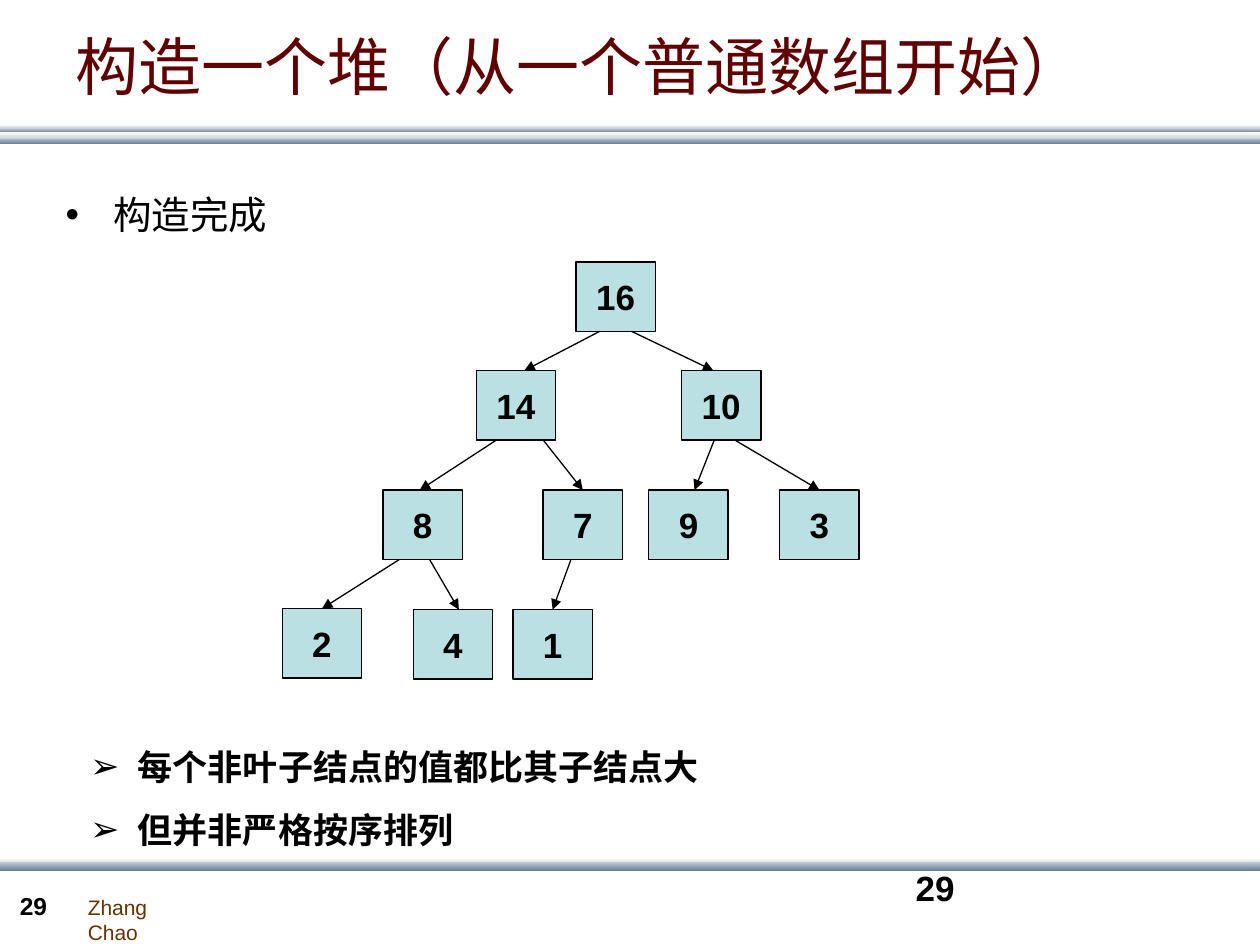
from lxml import etree
from pptx import Presentation, util as u
from pptx.dml.color import RGBColor
from pptx.enum import shapes, text
from pptx.oxml import ns

BLACK = RGBColor(0x00, 0x00, 0x00)
WHITE = RGBColor(0xFF, 0xFF, 0xFF)
MAROON = RGBColor(0x60, 0x00, 0x00)
BROWN = RGBColor(0x66, 0x33, 0x00)
NODE_BLUE = RGBColor(0xBB, 0xE0, 0xE3)
MIST = RGBColor(0xC8, 0xD1, 0xDA)
STEEL = RGBColor(0x6A, 0x83, 0x9C)

LATIN = "Arial"
CHINESE = "Noto Sans CJK SC"

SLIDE_W, SLIDE_H = 25.4, 19.05
NODE_W, NODE_H = 1.6, 1.4

# top, height, upper colour, lower colour
BANDS = [
    (2.77, 0.13, MIST, STEEL),
    (2.59, 0.08, MIST, STEEL),
    (2.67, 0.13, WHITE, MIST),
    (2.51, 0.08, WHITE, MIST),
    (17.3, 0.13, WHITE, MIST),
    (17.37, 0.18, MIST, STEEL),
]

# value: (left, top)
HEAP = {
    16: (11.61, 5.28),
    14: (9.6, 7.47), 10: (13.74, 7.47),
    8: (7.72, 9.88), 7: (10.95, 9.88), 9: (13.08, 9.88), 3: (15.72, 9.88),
    2: (5.69, 12.27), 4: (8.33, 12.29), 1: (10.34, 12.29),
}

# parent, child, x at the parent, x at the child (None: middle of its top)
LINKS = [
    (16, 14, 12.09, 10.57), (16, 10, 12.73, 14.38),
    (14, 8, 10.01, 8.46), (14, 7, 10.95, None),
    (10, 9, 14.4, 14.0), (10, 3, 14.81, None),
    (8, 2, 8.05, None), (8, 4, 8.66, 9.25),
    (7, 1, 11.51, None),
]


def write(paragraph, content, size, font=LATIN, color=BLACK, bold=False,
          align=text.PP_ALIGN.LEFT, spacing=None, bullet=None):
    paragraph.alignment = align
    paragraph.space_before = u.Pt(0)
    if spacing:
        paragraph.line_spacing = spacing
    if bullet:
        props = paragraph._p.get_or_add_pPr()
        indent = u.Cm(0.96)
        props.set("marL", str(indent))
        props.set("indent", str(-indent))
        etree.SubElement(props, ns.qn("a:buFont"), typeface=LATIN)
        etree.SubElement(props, ns.qn("a:buChar"), char=bullet)
    run = paragraph.add_run()
    run.text = content
    run.font.size = u.Pt(size)
    run.font.bold = bold
    run.font.color.rgb = color
    run.font.name = font
    etree.SubElement(run._r.get_or_add_rPr(), ns.qn("a:ea"), typeface=font)


class HeapSlide:
    line_color = BLACK
    line_width = u.Pt(0.75)

    def __init__(self, deck):
        self.slide = deck.slides.add_slide(deck.slide_layouts[1])
        self.shapes = self.slide.shapes

    def rectangle(self, left, top, width, height):
        box = self.shapes.add_shape(
            shapes.MSO_SHAPE.RECTANGLE, *map(u.Cm, (left, top, width, height)))
        box.shadow.inherit = False
        return box

    def band(self, top, height, upper, lower):
        strip = self.rectangle(0, top, SLIDE_W, height)
        strip.line.fill.background()
        strip.fill.gradient()
        strip.fill.gradient_angle = 270
        for stop, color in zip(strip.fill.gradient_stops, (upper, lower)):
            stop.color.rgb = color
        strip.fill.gradient_stops[0].position = 0
        strip.fill.gradient_stops[1].position = 1

    def placeholder(self, index, left, top, width, height, anchor, content, **style):
        holder = self.slide.placeholders[index]
        holder.left, holder.top = u.Cm(left), u.Cm(top)
        holder.width, holder.height = u.Cm(width), u.Cm(height)
        frame = holder.text_frame
        frame.auto_size = text.MSO_AUTO_SIZE.NONE
        frame.vertical_anchor = anchor
        write(frame.paragraphs[0], content, **style)

    def text_box(self, left, top, width, height, lines, **style):
        frame = self.shapes.add_textbox(
            *map(u.Cm, (left, top, width, height))).text_frame
        frame.word_wrap = True
        for number, content in enumerate(lines):
            paragraph = frame.add_paragraph() if number else frame.paragraphs[0]
            write(paragraph, content, **style)

    def node(self, value, left, top):
        box = self.rectangle(left, top, NODE_W, NODE_H)
        box.fill.solid()
        box.fill.fore_color.rgb = NODE_BLUE
        box.line.color.rgb = self.line_color
        box.line.width = self.line_width
        frame = box.text_frame
        frame.word_wrap = False
        frame.vertical_anchor = text.MSO_ANCHOR.MIDDLE
        write(frame.paragraphs[0], str(value), size=20, bold=True,
              align=text.PP_ALIGN.CENTER)
        return box

    def arrow(self, parent, child, start_x, end_x):
        link = self.shapes.add_connector(
            shapes.MSO_CONNECTOR.STRAIGHT,
            u.Cm(start_x), parent.top + parent.height,
            u.Cm(end_x or start_x), child.top)
        if end_x is None:
            link.end_connect(child, 0)
        link.line.color.rgb = self.line_color
        link.line.width = self.line_width
        props = link._element.spPr
        etree.SubElement(props.find(ns.qn("a:ln")), ns.qn("a:tailEnd"),
                         type="triangle")
        etree.SubElement(props, ns.qn("a:effectLst"))


def main():
    deck = Presentation()
    deck.slide_width, deck.slide_height = u.Cm(SLIDE_W), u.Cm(SLIDE_H)
    page = HeapSlide(deck)

    for band in BANDS:
        page.band(*band)

    page.placeholder(0, 1.27, -0.28, 22.86, 3.18, text.MSO_ANCHOR.MIDDLE,
                     "构造一个堆（从一个普通数组开始）",
                     size=36, font=CHINESE, color=MAROON)
    page.placeholder(1, 1.07, 3.73, 23.04, 12.8, text.MSO_ANCHOR.TOP,
                     "构造完成", size=22, font=CHINESE, bullet="•")
    page.text_box(1.57, 14.48, 15.49, 2.79,
                  ["每个非叶子结点的值都比其子结点大", "但并非严格按序排列"],
                  size=20, font=CHINESE, bold=True, spacing=1.5, bullet="➢")

    nodes = {value: page.node(value, *place) for value, place in HEAP.items()}
    for parent, child, start_x, end_x in LINKS:
        page.arrow(nodes[parent], nodes[child], start_x, end_x)

    page.text_box(1.52, 17.91, 2.82, 0.76, ["Zhang Chao"], size=12, color=BROWN)
    page.text_box(0.15, 17.83, 1.4, 0.86, ["29"], size=14, bold=True)
    page.text_box(18.21, 17.35, 5.92, 1.27, ["29"], size=20, bold=True)

    deck.save("out.pptx")


if __name__ == "__main__":
    main()
